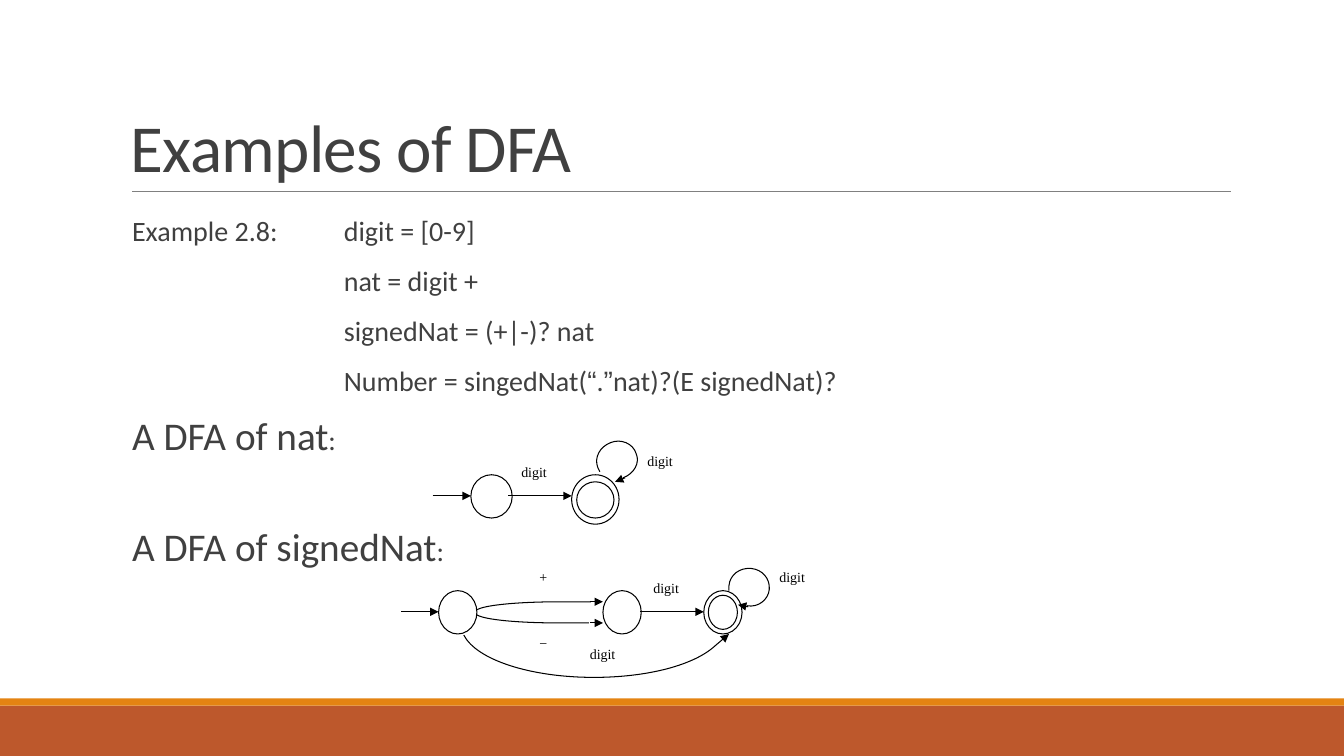
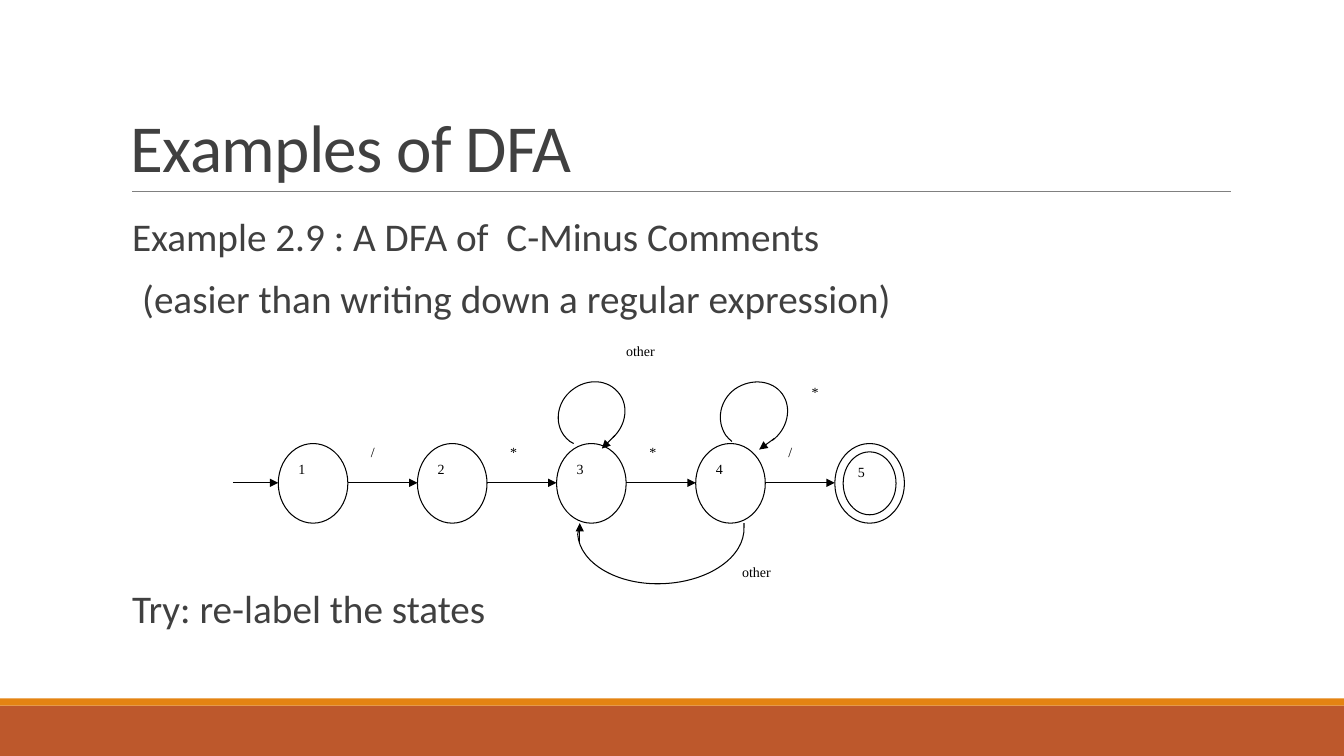
import pptx
import pptx.util
import pptx.dml.color
import pptx.enum.shapes
import pptx.enum.text
import pptx.oxml
import pptx.oxml.ns

Inches = pptx.util.Inches
Pt = pptx.util.Pt
SHAPE = pptx.enum.shapes.MSO_SHAPE
ANCHOR = pptx.enum.text.MSO_ANCHOR
ALIGN = pptx.enum.text.PP_ALIGN

THEME = {
    "ink": "404040", "black": "000000", "white": "FFFFFF",
    "rule": "808080", "band": "BD582C", "strip": "E48312",
    "body": "Calibri", "quote": "Arial", "label": "Times New Roman",
    "title": 48, "large": 28, "normal": 20, "small": 10,
    "thin": 0.5, "line": 0.75,
}
TITLE = "Examples of DFA"
WIDE, HIGH = 13.33, 7.5
HANG, TAB = 0.1, 2.1

BIG = {"size": "large"}
QUOTE = {"font": "quote"}
COLON = (":", {"size": "normal"})

NUMBERS = {
    "body": [
        (["Example 2.8:\tdigit = [0-9]"], {"left": TAB, "first": -TAB}),
        (["nat = digit +"], {"left": TAB}),
        (["signedNat = (+|-)? nat"], {"left": TAB}),
        (["Number = singedNat(", ("“", QUOTE), ".", ("”", QUOTE),
          "nat)?(E signedNat)?"], {"left": TAB}),
        ([("A DFA of nat", BIG), COLON], {"left": HANG, "first": -HANG}),
        ([("A DFA of signedNat", BIG), COLON],
         {"left": HANG, "first": -HANG, "before": 47}),
    ],
    "states": [
        (4.67, 4.71, 0.41, 0.43, ""),
        (5.67, 4.71, 0.47, 0.49, ""),
        (5.72, 4.78, 0.37, 0.36, ""),
        (4.35, 5.86, 0.38, 0.43, ""),
        (5.98, 5.86, 0.38, 0.43, ""),
    ],
    "final": (6.98, 5.86, 0.38, 0.43),
    "arrows": [
        (4.29, 4.92, 4.67, 4.92), (5.04, 4.92, 5.67, 4.92),
        (6.2, 4.74, 6.1, 4.78),
        (3.98, 6.07, 4.35, 6.07), (6.35, 6.07, 6.98, 6.07),
        (5.85, 5.97, 5.98, 5.97), (5.85, 6.18, 5.98, 6.18),
        (7.42, 6.02, 7.32, 6), (7.1, 6.4, 7.23, 6.29),
    ],
    "curves": [
        [(5.95, 4.68), (5.94, 4.67), (5.94, 4.65), (5.93, 4.64),
         (5.89, 4.54), (5.95, 4.43), (6.06, 4.39),
         (6.16, 4.35), (6.28, 4.4), (6.31, 4.5),
         (6.35, 4.59), (6.29, 4.7), (6.18, 4.74)],
        [(4.73, 6.05), (4.81, 6), (5.16, 5.97), (5.56, 5.97),
         (5.66, 5.97), (5.76, 5.97), (5.86, 5.97)],
        [(4.73, 6.1), (4.81, 6.15), (5.15, 6.18), (5.55, 6.18),
         (5.65, 6.18), (5.75, 6.18), (5.84, 6.18)],
        [(7.23, 5.86), (7.23, 5.84), (7.23, 5.83), (7.23, 5.81),
         (7.24, 5.7), (7.34, 5.63), (7.45, 5.64),
         (7.56, 5.65), (7.64, 5.74), (7.63, 5.85),
         (7.62, 5.95), (7.52, 6.03), (7.41, 6.01)],
        [(4.6, 6.3), (4.73, 6.55), (5.27, 6.72), (5.89, 6.72),
         (6.42, 6.72), (6.89, 6.6), (7.1, 6.4)],
    ],
    "sizes": (0.12, 0.38, 0.22),
    "labels": [
        (5.17, 4.6, "digit"), (6.42, 4.49, "digit"),
        (5.35, 5.64, "+"), (5.35, 6.29, "−"), (6.48, 5.75, "digit"),
        (7.73, 5.64, "digit"), (5.85, 6.4, "digit"),
    ],
}

LEFT, TOP, STEP, WIDTH, HEIGHT = 2.76, 4.4, 1.38, 0.69, 0.79
MID = 4.79
SPOTS = [LEFT + STEP * i for i in range(5)]
MARKS = ["/", "*", "*", "/"]

NOTES = {
    "body": [
        ([("Example 2.9 : A DFA of  C-Minus Comments", BIG)],
         {"left": HANG, "first": -HANG}),
        ([("(easier than writing down a regular expression)", BIG)],
         {"left": HANG}),
        ([("Try: re-label the states", BIG)],
         {"left": HANG, "first": -HANG, "before": 189.5}),
    ],
    "states": [(x, TOP, WIDTH, HEIGHT, name)
               for x, name in zip(SPOTS, ["1", "2", "3", "4"])],
    "final": (SPOTS[-1], TOP, WIDTH, HEIGHT),
    "arrows": [(2.31, MID, LEFT, MID)]
    + [(x + WIDTH, MID, x + STEP, MID) for x in SPOTS[:-1]]
    + [(6.1, 4.32, 5.97, 4.45), (7.68, 4.35, 7.53, 4.46),
       (5.75, 5.39, 5.75, 5.19)],
    "curves": [
        [(5.69, 4.4), (5.66, 4.39), (5.64, 4.37), (5.62, 4.35),
         (5.5, 4.23), (5.51, 4.02), (5.65, 3.89),
         (5.79, 3.76), (6, 3.75), (6.12, 3.88),
         (6.24, 4), (6.22, 4.21), (6.08, 4.34)],
        [(7.26, 4.38), (7.24, 4.36), (7.21, 4.34), (7.2, 4.32),
         (7.1, 4.17), (7.14, 3.97), (7.29, 3.86),
         (7.45, 3.75), (7.66, 3.77), (7.76, 3.91),
         (7.86, 4.05), (7.81, 4.26), (7.66, 4.37)],
        [(7.38, 5.19), (7.38, 5.2), (7.38, 5.21), (7.38, 5.23),
         (7.39, 5.52), (7.04, 5.77), (6.58, 5.79),
         (6.13, 5.81), (5.75, 5.59), (5.73, 5.3),
         (5.73, 5.28), (5.73, 5.27), (5.74, 5.25)],
    ],
    "sizes": (0.23, 0.69, 0.4),
    "labels": [(x + 0.92, TOP, mark) for x, mark in zip(SPOTS, MARKS)]
    + [(6.21, 3.4, "other"), (7.36, 5.59, "other"),
       (8.05, 3.8, "*"), (8.51, 4.6, "5")],
}


def tint(name):
    return pptx.dml.color.RGBColor.from_string(THEME[name])


def node(tag):
    return pptx.oxml.parse_xml(
        "<a:%s %s/>" % (tag, pptx.oxml.ns.nsdecls("a")))


def write(frame, runs, font="body", size="normal", color="ink", left=0,
          first=0, before=0, after=0, line=1, track=0, new=False,
          align=ALIGN.LEFT):
    para = frame.add_paragraph() if new else frame.paragraphs[0]
    para.alignment = align
    para.line_spacing = line
    para.space_before, para.space_after = Pt(before), Pt(after)
    props = para._p.get_or_add_pPr()
    props.set("marL", str(Inches(left)))
    props.set("indent", str(Inches(first)))
    for item in runs:
        words, own = (item, {}) if isinstance(item, str) else item
        run = para.add_run()
        run.text = words
        run.font.name = THEME[own.get("font", font)]
        run.font.size = Pt(THEME[own.get("size", size)])
        run.font.color.rgb = tint(color)
        if track:
            run._r.get_or_add_rPr().set("spc", str(track))


def fit(frame, pads=(0.1, 0.05), anchor=ANCHOR.TOP):
    frame.word_wrap = True
    frame.vertical_anchor = anchor
    frame.margin_left = frame.margin_right = Inches(pads[0])
    frame.margin_top = frame.margin_bottom = Inches(pads[1])
    return frame


def box(slide, place, **form):
    shape = slide.shapes.add_textbox(*map(Inches, place))
    return fit(shape.text_frame, **form)


def block(slide, kind, place, fill, edge=None):
    shape = slide.shapes.add_shape(kind, *map(Inches, place))
    shape.shadow.inherit = False
    shape.fill.solid()
    shape.fill.fore_color.rgb = tint(fill)
    if edge:
        stroke(shape, edge)
    else:
        shape.line.fill.background()
    return shape


def stroke(shape, color="black", width="line"):
    shape.line.color.rgb = tint(color)
    shape.line.width = Pt(THEME[width])


def link(slide, ends, color="black", width="line", head=True):
    line = slide.shapes.add_connector(
        pptx.enum.shapes.MSO_CONNECTOR.STRAIGHT, *map(Inches, ends))
    stroke(line, color, width)
    if head:
        tip = node("tailEnd")
        tip.set("type", "triangle")
        line.line._ln.append(tip)
    line._element.spPr.append(node("effectLst"))


def bend(slide, knots):
    dots = [(Inches(x), Inches(y)) for x, y in knots]
    maker = slide.shapes.build_freeform(*dots[0])
    maker.add_line_segments(dots[1:], close=False)
    curve = maker.convert_to_shape()
    parts = curve._element.xpath(".//a:lnTo")
    for i in range(0, len(parts), 3):
        cubic = node("cubicBezTo")
        parts[i].addprevious(cubic)
        for part in parts[i:i + 3]:
            cubic.append(part[0])
            part.getparent().remove(part)
    curve.shadow.inherit = False
    curve.fill.background()
    stroke(curve)


def base(deck):
    slide = deck.slides.add_slide(deck.slide_layouts[6])
    block(slide, SHAPE.RECTANGLE, (0, 7, WIDE, 0.5), "band")
    block(slide, SHAPE.RECTANGLE, (0, 6.93, WIDE, 0.07), "strip")
    link(slide, (1.31, 1.9, 12.21, 1.9), "rule", "thin", head=False)
    frame = box(slide, (1.2, 0.31, 11, 1.59), anchor=ANCHOR.BOTTOM)
    write(frame, [TITLE], size="title", line=0.85, track=-50)
    return slide


def draw(deck, data):
    slide = base(deck)
    frame = box(slide, (1.31, 2.11, 10.89, 4.44), pads=(0, 0.05))
    for i, (runs, form) in enumerate(data["body"]):
        form = {"before": 12 if i else 0, **form}
        write(frame, runs, after=2, line=0.9, new=i > 0, **form)
    small = {"font": "label", "size": "small", "color": "black",
             "align": ALIGN.JUSTIFY}
    for *place, name in data["states"]:
        state = block(slide, SHAPE.OVAL, place, "white", "black")
        if name:
            write(fit(state.text_frame), [name], **small)
    ring = block(slide, SHAPE.DONUT, data["final"], "white", "black")
    ring.adjustments[0] = 0.12
    short, long, tall = data["sizes"]
    for x, y, name in data["labels"]:
        wide = short if len(name) == 1 else long
        label = block(slide, SHAPE.RECTANGLE, (x, y, wide, tall),
                      "white", "white")
        write(fit(label.text_frame, pads=(0, 0)), [name], **small)
    for knots in data["curves"]:
        bend(slide, knots)
    for ends in data["arrows"]:
        link(slide, ends)


def main():
    deck = pptx.Presentation()
    deck.slide_width, deck.slide_height = Inches(WIDE), Inches(HIGH)
    for data in (NUMBERS, NOTES):
        draw(deck, data)
    deck.save("out.pptx")


if __name__ == "__main__":
    main()
